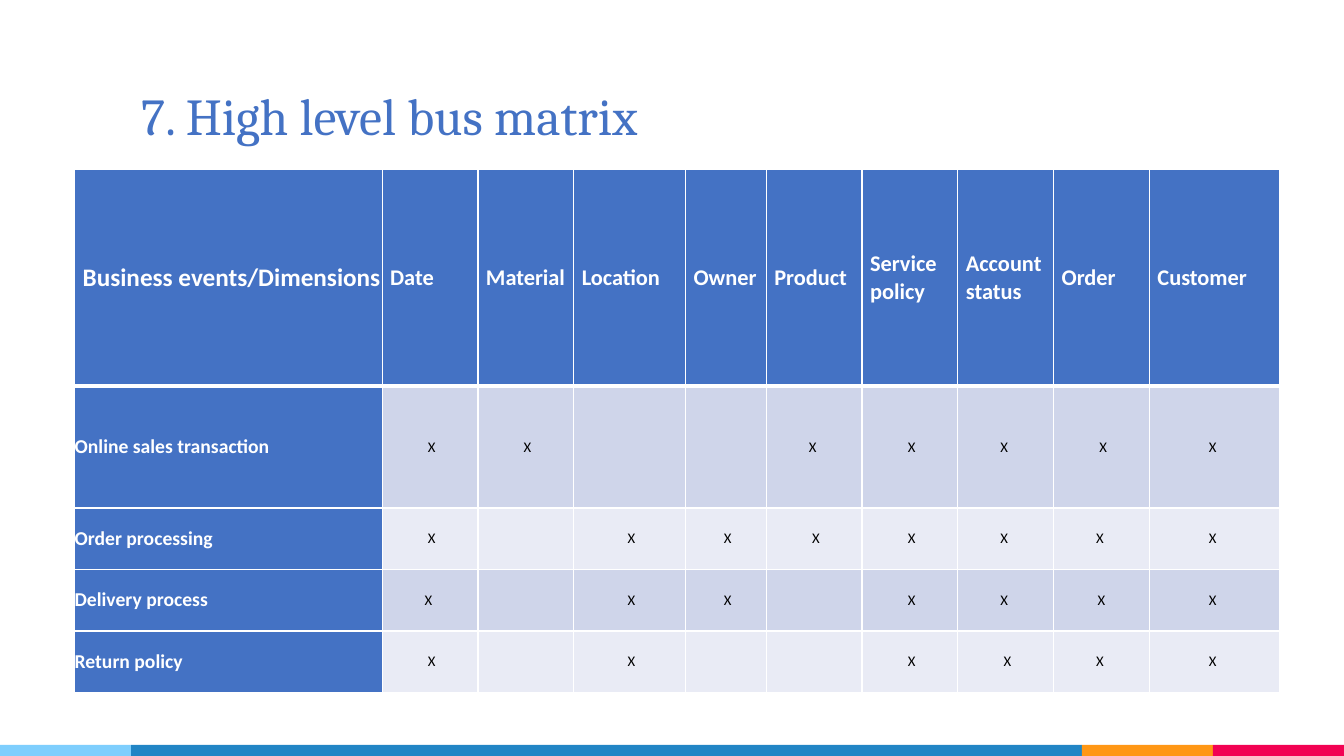
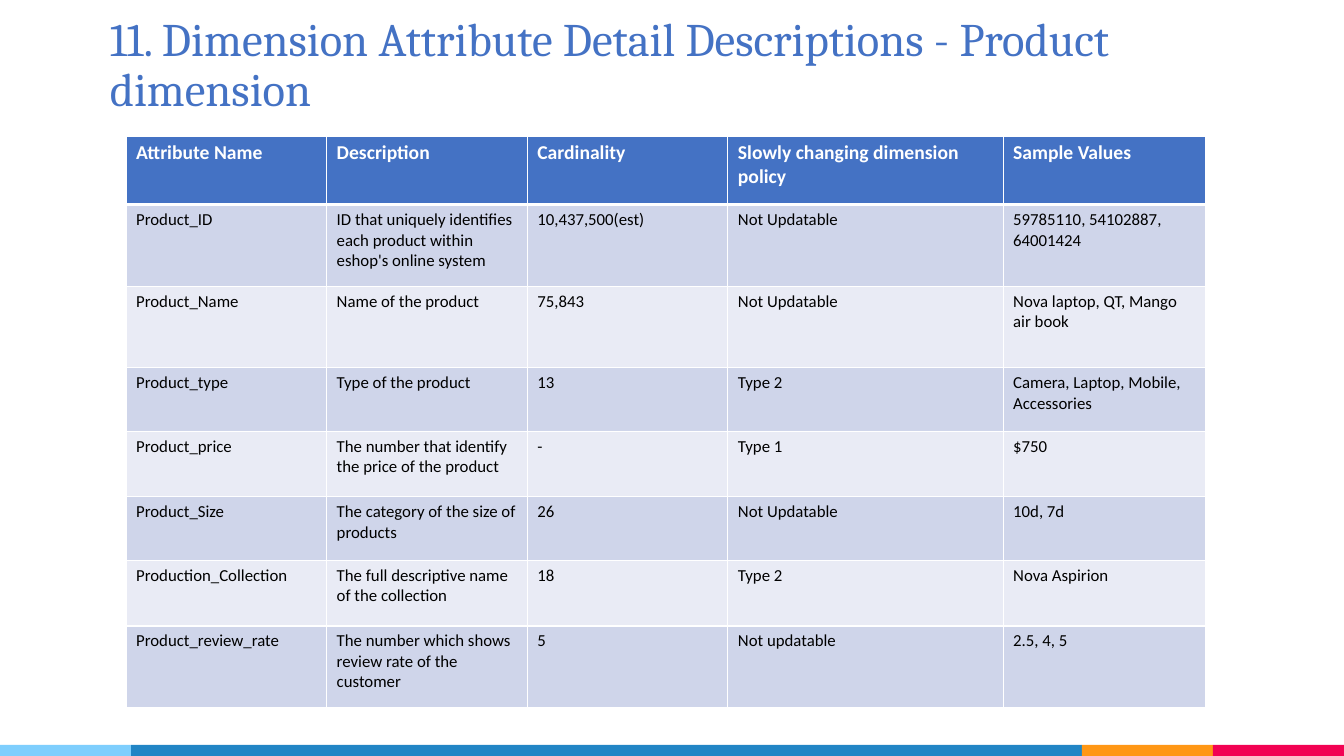
from lxml.etree import SubElement
from pptx import Presentation
from pptx.dml.color import RGBColor
from pptx.enum.shapes import MSO_SHAPE
from pptx.enum.text import MSO_ANCHOR, PP_ALIGN
from pptx.oxml.ns import qn
from pptx.util import Inches, Pt

BLUE = RGBColor(0x44, 0x72, 0xC4)
WHITE = RGBColor(0xFF, 0xFF, 0xFF)
BLACK = RGBColor(0x00, 0x00, 0x00)
STRIPES = [RGBColor(0xCF, 0xD5, 0xEA), RGBColor(0xE9, 0xEB, 0xF5)]
SKY = RGBColor(0x7E, 0xCE, 0xFD)
OCEAN = RGBColor(0x21, 0x85, 0xC5)
ORANGE = RGBColor(0xFF, 0x97, 0x15)
PINK = RGBColor(0xF2, 0x02, 0x53)

SLIDE_WIDTH, SLIDE_HEIGHT = 13.33, 7.5
BAND_HEIGHT = 0.11
BANDS = [(SKY, 1.3), (OCEAN, 9.43), (ORANGE, 1.3), (PINK, 1.3)]

MARKS = {">": " X", "<": "X ", "=": "X", ".": ""}
EVENTS = [
    ("Online sales transaction", ">>..<><><"),
    ("Order processing", ">.>>>><<<"),
    ("Delivery process", "<.>>.><=<"),
    ("Return policy", ">.>..>><<"),
]
MATRIX_ROWS = [
    ["Business events/Dimensions", "Date", "Material ", "Location", "Owner",
     "Product", "Service policy", "Account status", "Order", "Customer"],
] + [[event] + [MARKS[mark] for mark in marks] for event, marks in EVENTS]

ATTRIBUTE_ROWS = [
    ["Attribute Name", "Description", "Cardinality",
     "Slowly changing dimension policy", "Sample Values"],
    ["Product_ID", "ID that uniquely identifies each product within eshop's online system",
     "10,437,500(est)", "Not Updatable", "59785110, 54102887, 64001424"],
    ["Product_Name", "Name of the product", "75,843", "Not Updatable",
     "Nova laptop, QT, Mango air book"],
    ["Product_type", "Type of the product", "13", "Type 2",
     "Camera, Laptop, Mobile, Accessories"],
    ["Product_price", "The number that identify the price of the product",
     "-", "Type 1", "$750"],
    ["Product_Size", "The category of the size of products", "26",
     "Not Updatable", "10d, 7d"],
    ["Production_Collection", "The full descriptive name of the collection",
     "18", "Type 2", "Nova Aspirion"],
    ["Product_review_rate", "The number which shows review rate of the customer",
     "5", "Not updatable", "2.5, 4, 5"],
]

HEADING = {"name": "Calibri", "bold": True, "color": WHITE}
BODY = {"name": "Calibri", "bold": False, "color": BLACK}
FLUSH = {"margin_left": 0, "margin_right": 0, "margin_top": 0, "margin_bottom": 0,
         "vertical_anchor": MSO_ANCHOR.MIDDLE}


def matrix_format(row, column):
    if row == 0:
        size = Pt(16 if column else 18)
        return HEADING | {"size": size}, FLUSH | {"margin_left": Inches(0.08)}, PP_ALIGN.JUSTIFY
    if column == 0:
        return HEADING | {"size": Pt(14)}, FLUSH, PP_ALIGN.JUSTIFY
    return BODY | {"size": Pt(10.5)}, FLUSH, PP_ALIGN.CENTER


def attribute_format(row, column):
    font = BODY | {"size": Pt(12)} if row else HEADING | {"size": Pt(14)}
    return font, {}, PP_ALIGN.LEFT


SLIDES = [
    {"title": "7. High level bus matrix", "title_size": 37,
     "title_box": (1.3, 0.3, 9.42, 1.25), "origin": (0.74, 1.68),
     "columns": [3.05, 0.95, 0.95, 1.11, 0.8, 0.95, 0.95, 0.95, 0.95, 1.29],
     "rows": [2.15, 1.21, 0.61, 0.61, 0.61],
     "content": MATRIX_ROWS, "format": matrix_format, "blue_columns": 1},
    {"title": "11. Dimension Attribute Detail Descriptions - Product dimension",
     "title_size": 33.3, "title_box": (0.99, 0, 10.81, 1.26), "origin": (1.25, 1.35),
     "columns": [1.99, 1.99, 1.99, 2.73, 2.01],
     "rows": [0.68, 0.81, 0.81, 0.63, 0.65, 0.63, 0.65, 0.81],
     "content": ATTRIBUTE_ROWS, "format": attribute_format, "blue_columns": 0},
]


def set_attributes(target, values):
    for name, value in values.items():
        setattr(target, name, value)


def set_font(font, values):
    set_attributes(font, {name: value for name, value in values.items() if name != "color"})
    font.color.rgb = values["color"]


def add_bands(slide):
    left = 0
    for color, width in BANDS:
        band = slide.shapes.add_shape(
            MSO_SHAPE.RECTANGLE, Inches(left), Inches(SLIDE_HEIGHT - BAND_HEIGHT),
            Inches(width), Inches(BAND_HEIGHT))
        band.shadow.inherit = False
        band.fill.solid()
        band.fill.fore_color.rgb = color
        band.line.fill.background()
        left += width


def add_title(slide, text, size, box):
    frame = slide.shapes.add_textbox(*map(Inches, box)).text_frame
    margins = {f"margin_{side}": Inches(0.1) for side in ("left", "right", "top", "bottom")}
    set_attributes(frame, margins | {"word_wrap": True, "vertical_anchor": MSO_ANCHOR.BOTTOM})
    paragraph = frame.paragraphs[0]
    paragraph.line_spacing = 0.9
    run = paragraph.add_run()
    run.text = text
    set_font(run.font, {"name": "Cambria", "size": Pt(size), "color": BLUE})


def set_borders(cell, top, bottom):
    properties = cell._tc.get_or_add_tcPr()
    widths = {"a:lnL": 1, "a:lnR": 1, "a:lnT": top, "a:lnB": bottom}
    for position, (tag, width) in enumerate(widths.items()):
        line = SubElement(properties, qn(tag), w=str(Pt(width)))
        fill = SubElement(line, qn("a:solidFill"))
        SubElement(fill, qn("a:srgbClr"), val=str(WHITE))
        properties.insert(position, line)


def fill_cell(cell, text, fill, font, layout, alignment):
    cell.fill.solid()
    cell.fill.fore_color.rgb = fill
    set_attributes(cell, layout)
    paragraph = cell.text_frame.paragraphs[0]
    paragraph.alignment = alignment
    if text:
        run = paragraph.add_run()
        run.text = text
        set_font(run.font, font)


def add_grid(slide, page):
    columns, rows = page["columns"], page["rows"]
    table = slide.shapes.add_table(
        len(rows), len(columns), *map(Inches, page["origin"]),
        Inches(sum(columns)), Inches(sum(rows))).table
    for column, width in zip(table.columns, columns):
        column.width = Inches(width)
    for row, height in zip(table.rows, rows):
        row.height = Inches(height)
    for row, values in enumerate(page["content"]):
        for column, text in enumerate(values):
            cell = table.cell(row, column)
            is_blue = row == 0 or column < page["blue_columns"]
            fill = BLUE if is_blue else STRIPES[(row - 1) % 2]
            fill_cell(cell, text, fill, *page["format"](row, column))
            set_borders(cell, 3 if row == 1 else 1, 3 if row == 0 else 1)


def main():
    presentation = Presentation()
    presentation.slide_width = Inches(SLIDE_WIDTH)
    presentation.slide_height = Inches(SLIDE_HEIGHT)
    for page in SLIDES:
        slide = presentation.slides.add_slide(presentation.slide_layouts[6])
        add_bands(slide)
        add_title(slide, page["title"], page["title_size"], page["title_box"])
        add_grid(slide, page)
    presentation.save("out.pptx")


if __name__ == "__main__":
    main()
